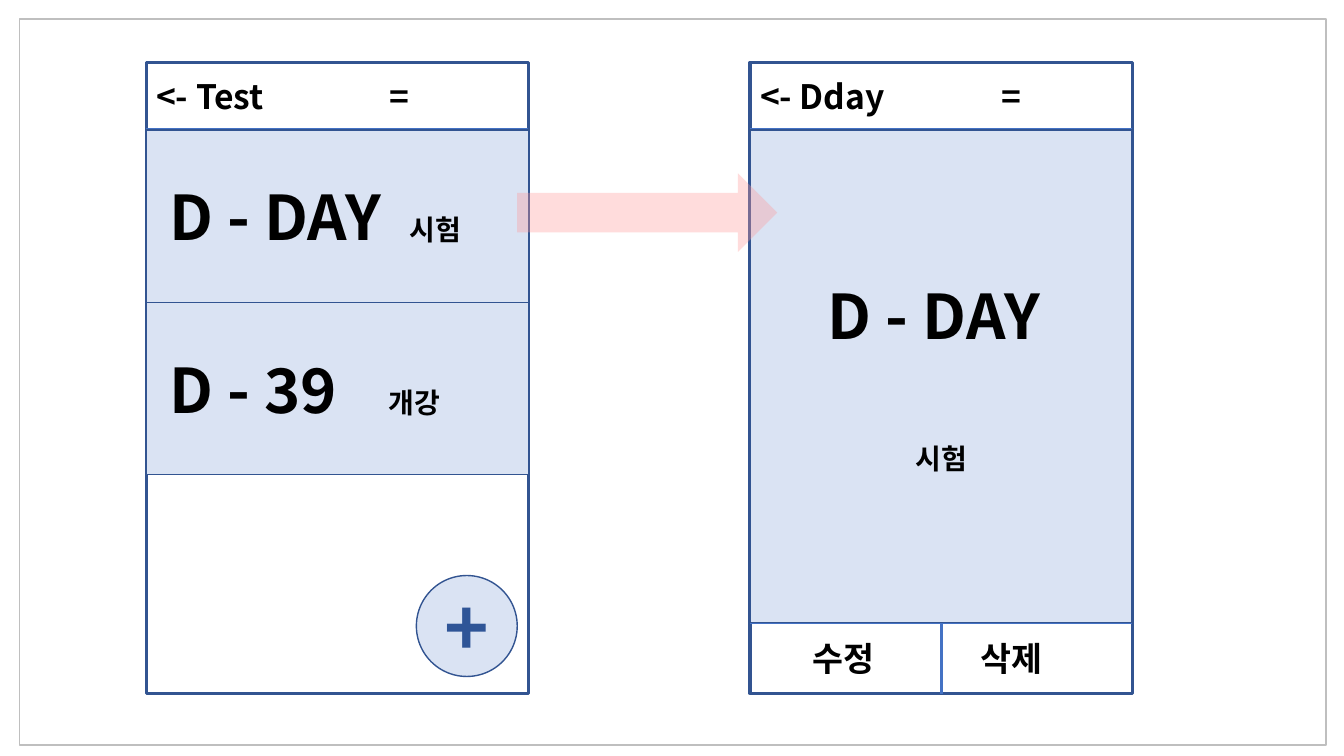
from collections import namedtuple

from lxml import etree
from pptx import Presentation
from pptx.dml.color import RGBColor
from pptx.enum.shapes import MSO_CONNECTOR, MSO_SHAPE
from pptx.enum.text import MSO_ANCHOR, PP_ALIGN
from pptx.oxml.ns import qn
from pptx.util import Inches, Pt

RECT, CIRCLE, ARROW = MSO_SHAPE.RECTANGLE, MSO_SHAPE.OVAL, MSO_SHAPE.RIGHT_ARROW
STRAIGHT = MSO_CONNECTOR.STRAIGHT
LEFT, CENTER = PP_ALIGN.LEFT, PP_ALIGN.CENTER
MIDDLE = MSO_ANCHOR.MIDDLE

WHITE = RGBColor(0xFF, 0xFF, 0xFF)
BLACK = RGBColor(0x00, 0x00, 0x00)
GRAY = RGBColor(0xBF, 0xBF, 0xBF)
NAVY = RGBColor(0x32, 0x54, 0x91)
PLUS_BLUE = RGBColor(0x2F, 0x55, 0x97)
BLUE = RGBColor(0x44, 0x72, 0xC4)
PALE_BLUE = RGBColor(0xDA, 0xE3, 0xF3)
PINK = RGBColor(0xFF, 0x99, 0x99)

FONT = "Noto Sans CJK KR"
HEADER, ROW, FOOTER = 10.7, 27.3, 88.7

Box = namedtuple("Box", "left top width height")


def part(box, left, top, width, height):
    return Box(int(box.left + box.width * left / 100),
               int(box.top + box.height * top / 100),
               int(box.width * width / 100),
               int(box.height * height / 100))


def add_panel(slide, kind, box, fill=None, line=None, weight=1):
    panel = slide.shapes.add_shape(kind, *box)
    panel.shadow.inherit = False
    if fill is None:
        panel.fill.background()
    else:
        panel.fill.solid()
        panel.fill.fore_color.rgb = fill
    if line is None:
        panel.line.fill.background()
    else:
        panel.line.color.rgb = line
        panel.line.width = Pt(weight)
    panel.text_frame.vertical_anchor = MIDDLE
    panel.text_frame.word_wrap = True
    return panel


def add_divider(slide, box):
    divider = slide.shapes.add_connector(
        STRAIGHT, box.left, box.top, box.left + box.width, box.top + box.height)
    divider.line.color.rgb = BLUE
    divider.line.width = Pt(2.25)
    etree.SubElement(divider._element.spPr, qn("a:effectLst"))


def style(paragraph, size, color=BLACK, align=LEFT, tab=None):
    paragraph.alignment = align
    font = paragraph.font
    font.name, font.size, font.bold = FONT, Pt(size), True
    font.color.rgb = color
    defaults = paragraph._p.pPr.find(qn("a:defRPr"))
    defaults.find(qn("a:latin")).addnext(
        etree.Element(qn("a:ea"), typeface=FONT))
    if tab is not None:
        stops = etree.Element(qn("a:tabLst"))
        etree.SubElement(stops, qn("a:tab"), pos=str(tab), algn="l")
        defaults.addprevious(stops)


def add_label(slide, box, text, tab):
    frame = slide.shapes.add_textbox(*box).text_frame
    frame.word_wrap = True
    paragraph = frame.paragraphs[0]
    paragraph.text = text
    style(paragraph, 24, tab=tab)


def add_phone(slide, phone, title, menu_share):
    add_panel(slide, RECT, phone, WHITE, NAVY, 2.25)
    add_divider(slide, part(phone, 0, HEADER, 100, 0))
    add_label(slide, part(phone, 0, 1.3, 97, 8), f"<- {title}\t=",
              int(phone.width * menu_share / 100))


def add_list_screen(slide, phone):
    add_phone(slide, phone, "Test", 61)
    events = [("D - DAY", "시험", 62.8), ("D - 39", "개강", 57.3)]
    for index, (countdown, event, event_share) in enumerate(events):
        row = part(phone, 0, HEADER + index * ROW, 100, ROW)
        frame = add_panel(slide, RECT, row, PALE_BLUE, NAVY).text_frame
        frame.margin_left = Inches(0.23)
        paragraph = frame.paragraphs[0]
        paragraph.add_run().text = f"{countdown}\t"
        name = paragraph.add_run()
        name.text = event
        name.font.size = Pt(20)
        style(paragraph, 44, tab=int(phone.width * event_share / 100))
    add_button = add_panel(slide, CIRCLE, part(phone, 70.7, 81.3, 26.4, 16),
                           PALE_BLUE, NAVY)
    plus = add_button.text_frame.paragraphs[0]
    plus.text = "+"
    style(plus, 54, PLUS_BLUE, CENTER)


def add_detail_screen(slide, phone):
    add_phone(slide, phone, "Dday", 63.3)
    add_divider(slide, part(phone, 0, FOOTER, 100, 0))
    add_divider(slide, part(phone, 50, FOOTER, 0, 100 - FOOTER))
    body = part(phone, 0, HEADER, 100, FOOTER - HEADER)
    frame = add_panel(slide, RECT, body, PALE_BLUE, NAVY).text_frame
    countdown, event = frame.paragraphs[0], frame.add_paragraph()
    countdown.text, event.text = "D - DAY ", "시험"
    style(countdown, 44, align=CENTER)
    event.space_before = Pt(64)
    style(event, 20, align=CENTER)
    add_label(slide, part(phone, 13.7, 90.4, 72.8, 8), "수정\t삭제",
              int(phone.width * 0.44))


def add_flow_arrow(slide, box):
    arrow = add_panel(slide, ARROW, box, PINK)
    color = arrow._element.spPr.find(qn("a:solidFill"))[0]
    etree.SubElement(color, qn("a:alpha"), val="34000")


def main():
    deck = Presentation()
    deck.slide_width, deck.slide_height = Inches(13.33), Inches(7.5)
    slide = deck.slides.add_slide(deck.slide_layouts[6])
    page = Box(0, 0, deck.slide_width, deck.slide_height)
    add_panel(slide, RECT, part(page, 1.43, 2.53, 97.22, 96), line=GRAY)
    add_list_screen(slide, part(page, 10.88, 8.27, 28.43, 83.47))
    add_detail_screen(slide, part(page, 55.81, 8.27, 28.43, 83.47))
    add_flow_arrow(slide, part(page, 38.48, 22.93, 19.35, 10.4))
    deck.save("out.pptx")


main()
